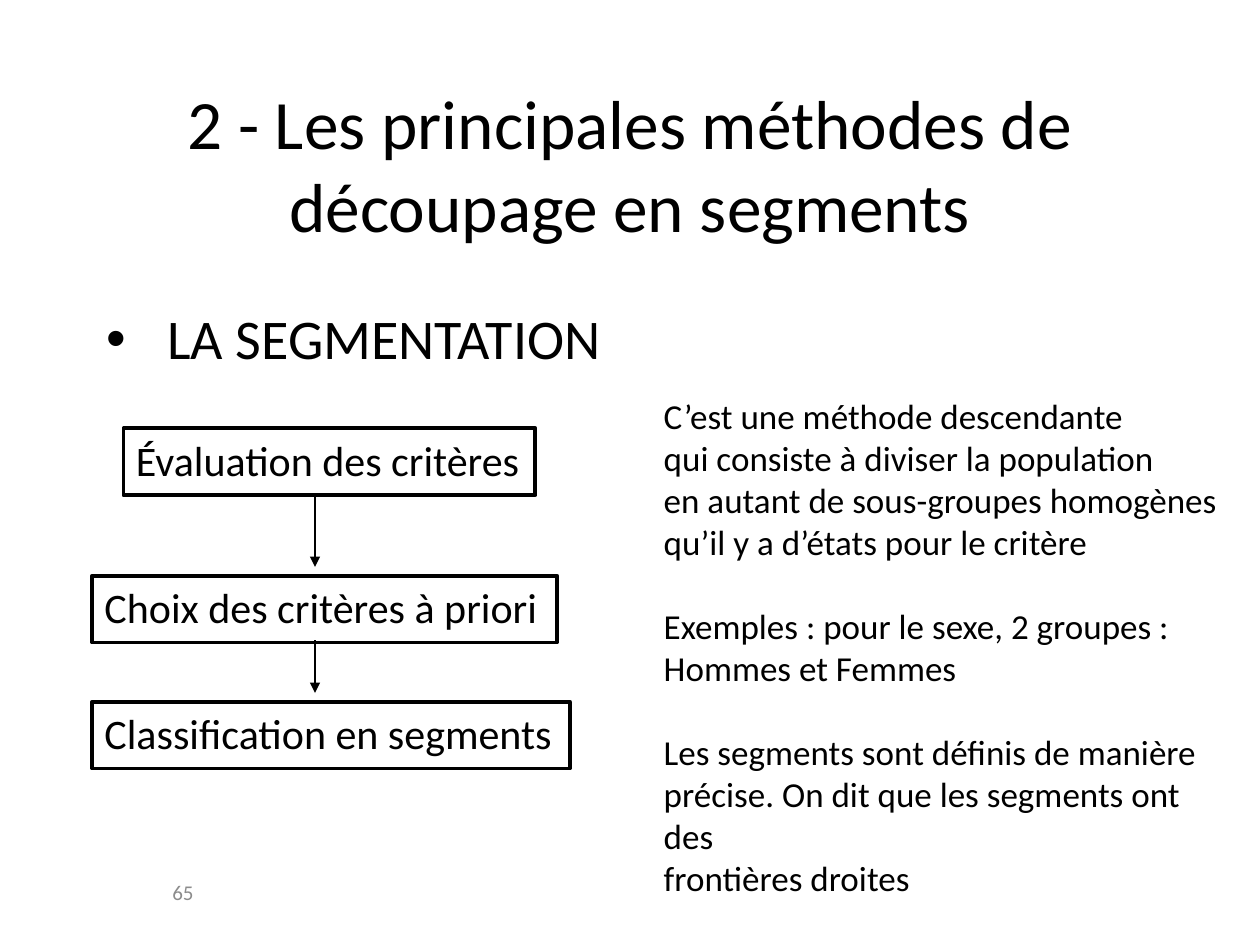
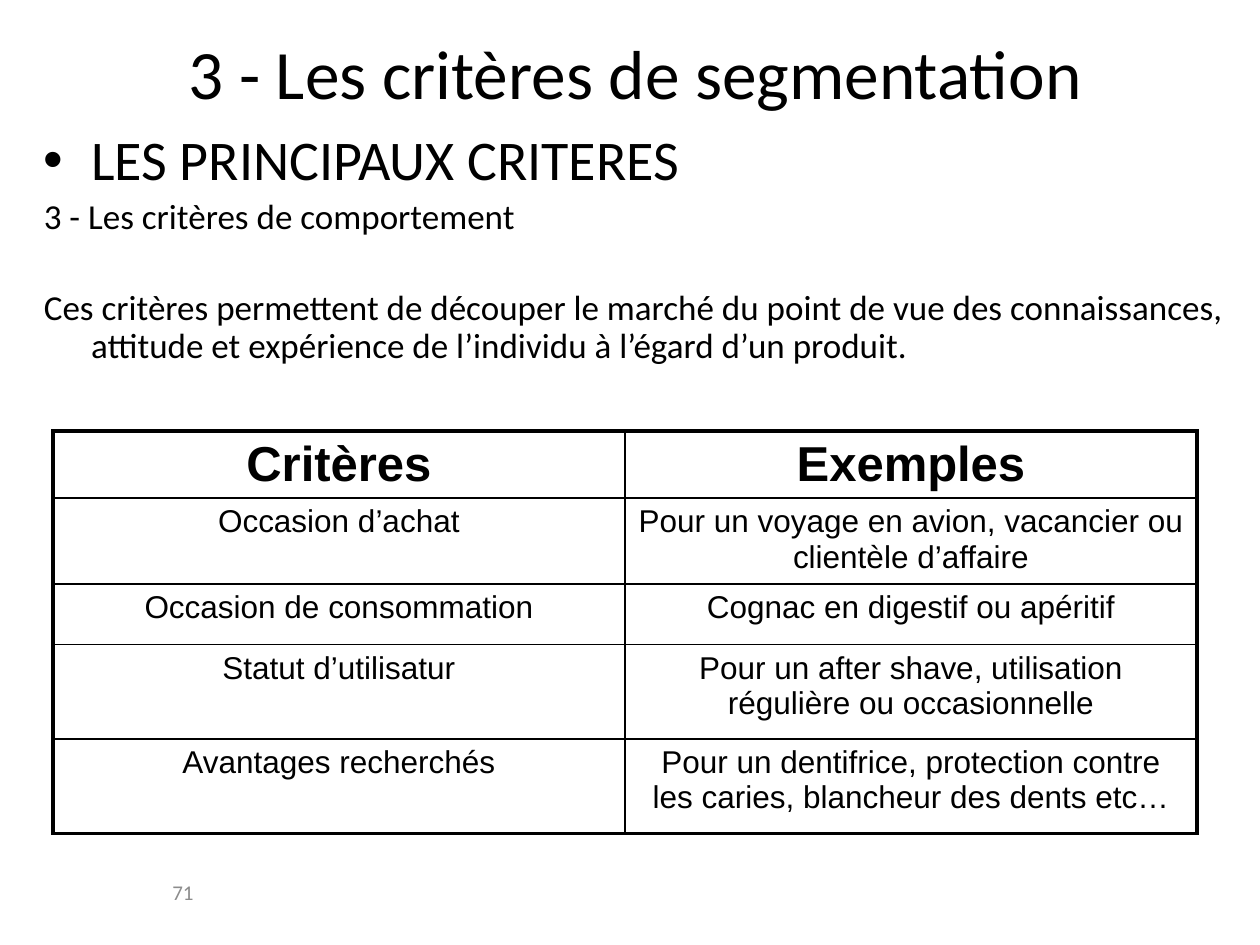
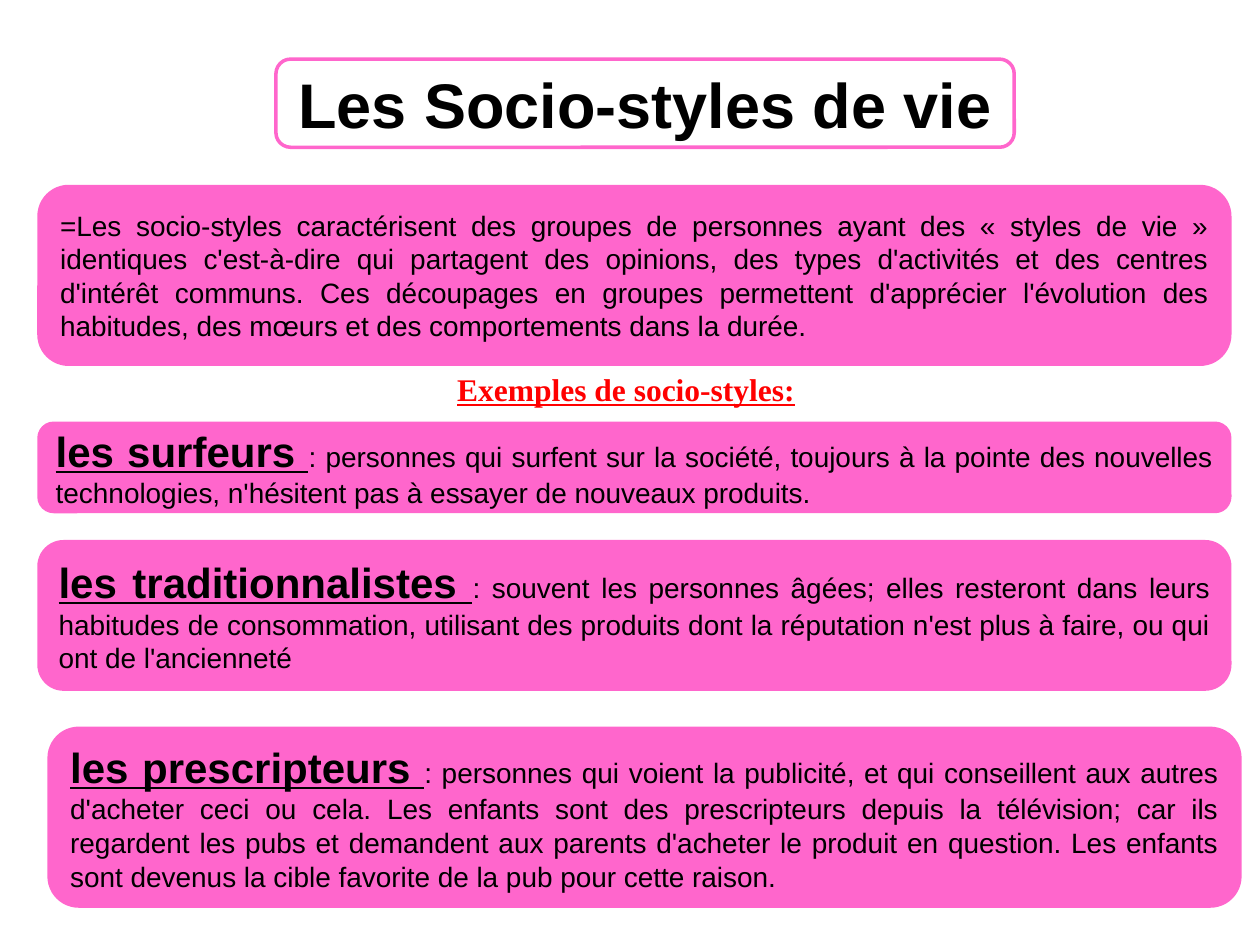
from dataclasses import dataclass

from lxml import etree
from pptx import Presentation
from pptx.dml.color import RGBColor
from pptx.enum.shapes import MSO_CONNECTOR, MSO_SHAPE
from pptx.enum.text import MSO_ANCHOR, MSO_AUTO_SIZE, PP_ALIGN
from pptx.oxml.ns import qn
from pptx.util import Pt

RECT, ROUND = MSO_SHAPE.RECTANGLE, MSO_SHAPE.ROUNDED_RECTANGLE
LINE = MSO_CONNECTOR.STRAIGHT
TOP, MID = MSO_ANCHOR.TOP, MSO_ANCHOR.MIDDLE
LEFT, MIDDLE, JUST = PP_ALIGN.LEFT, PP_ALIGN.CENTER, PP_ALIGN.JUSTIFY
FIXED = MSO_AUTO_SIZE.NONE


@dataclass(frozen=True)
class Theme:
    # Colours
    ink: str = "000000"
    paper: str = "FFFFFF"
    pink: str = "FF66CC"
    red: str = "FF0000"
    gray: str = "8C8C8C"
    # Fonts
    body: str = "Calibri"
    sans: str = "Arial"
    serif: str = "Times New Roman"
    # Type sizes
    title: float = 39.6
    banner: float = 36
    lead: float = 32
    head: float = 28
    step: float = 24
    text: float = 20
    cell: float = 18
    note: float = 16
    small: float = 12
    # Line widths
    thick: float = 2.25
    edge: float = 2
    rule: float = 1
    thin: float = 0.75


@dataclass
class Run:
    text: str
    size: float
    font: str = Theme.body
    color: str = Theme.ink
    bold: bool = False
    under: bool = False


@dataclass
class Para:
    runs: list
    align: int = LEFT
    gap: float = 0
    lines: float = 1
    hang: float = 0
    bullet: str = ""


class Deck:
    def __init__(self, theme):
        self.theme = theme
        self.prs = Presentation()
        self.prs.slide_width, self.prs.slide_height = Pt(720), Pt(540)
        self.slide = None

    def page(self, box, run):
        """Start a slide and format its title."""
        self.slide = self.prs.slides.add_slide(self.prs.slide_layouts[5])
        title = self.slide.shapes.title
        title.left, title.top, title.width, title.height = map(Pt, box)
        self.fill(title.text_frame, [Para([run], MIDDLE)], MID)

    def fill(self, frame, paras, anchor=TOP):
        frame.word_wrap = True
        frame.auto_size = FIXED
        frame.vertical_anchor = anchor
        for i, para in enumerate(paras):
            p = frame.add_paragraph() if i else frame.paragraphs[0]
            self.para(p, para)

    def para(self, p, para):
        props = p._p.get_or_add_pPr()
        if para.hang:
            props.set("marL", str(Pt(para.hang)))
            props.set("indent", str(-Pt(para.hang)))
        if para.bullet:
            etree.SubElement(props, qn("a:buFont"), typeface=self.theme.sans)
            etree.SubElement(props, qn("a:buChar"), char=para.bullet)
        p.alignment = para.align
        p.line_spacing = para.lines
        if para.gap:
            p.space_before = Pt(para.gap)
        for item in para.runs:
            run = p.add_run()
            run.text = item.text
            font = run.font
            font.name, font.size = item.font, Pt(item.size)
            font.bold, font.underline = item.bold, item.under
            font.color.rgb = RGBColor.from_string(item.color)

    def text(self, box, paras, anchor=TOP):
        shape = self.slide.shapes.add_textbox(*map(Pt, box))
        self.fill(shape.text_frame, paras, anchor)

    def box(self, kind, box, color, width, paras=(), back=None, anchor=TOP):
        shape = self.slide.shapes.add_shape(kind, *map(Pt, box))
        shape.shadow.inherit = False
        if back:
            shape.fill.solid()
            shape.fill.fore_color.rgb = RGBColor.from_string(back)
        else:
            shape.fill.background()
        shape.line.color.rgb = RGBColor.from_string(color)
        shape.line.width = Pt(width)
        self.fill(shape.text_frame, paras, anchor)

    def arrow(self, x, start, end):
        line = self.slide.shapes.add_connector(LINE, Pt(x), Pt(start), Pt(x), Pt(end))
        line.line.color.rgb = RGBColor.from_string(self.theme.ink)
        line.line.width = Pt(self.theme.thin)
        props = line.element.spPr
        etree.SubElement(props.find(qn("a:ln")), qn("a:tailEnd"), type="triangle")
        etree.SubElement(props, qn("a:effectLst"))

    def number(self, text):
        t = self.theme
        self.text((91.4, 492, 149.8, 36),
                  [Para([Run(text, t.small, color=t.gray)])], MID)

    def table(self, left, top, width, highs, rows):
        t = self.theme
        count = len(rows[0])
        grid = self.slide.shapes.add_table(
            len(rows), count, Pt(left), Pt(top), Pt(width * count), Pt(sum(highs))).table
        grid.first_row = grid.horz_banding = False
        for col in grid.columns:
            col.width = Pt(width)
        for r, (high, row) in enumerate(zip(highs, rows)):
            grid.rows[r].height = Pt(high)
            for c, text in enumerate(row):
                cell = grid.cell(r, c)
                size = t.cell if r else t.head
                run = Run(text, size, t.sans, bold=r == 0)
                self.para(cell.text_frame.paragraphs[0], Para([run], MIDDLE))
                outer = {"L": c == 0, "R": c == count - 1,
                         "T": r == 0, "B": r == len(rows) - 1}
                self.edges(cell, outer)
                cell.fill.solid()
                cell.fill.fore_color.rgb = RGBColor.from_string(t.paper)

    def edges(self, cell, outer):
        """Draw thick outer borders and fine inner ones."""
        t = self.theme
        props = cell._tc.get_or_add_tcPr()
        for side, out in outer.items():
            width = Pt(t.thick if out else t.rule)
            line = etree.SubElement(props, qn("a:ln" + side), w=str(width))
            fill = etree.SubElement(line, qn("a:solidFill"))
            etree.SubElement(fill, qn("a:srgbClr"), val=t.ink)


def method(deck):
    t = deck.theme
    deck.page((54, 39, 612, 108.7),
              Run("2 - Les principales méthodes de découpage en segments", t.title))
    deck.number("65")
    deck.text((54, 174.2, 378, 41.8),
              [Para([Run("LA SEGMENTATION", t.lead)], lines=0.9, hang=34.4, bullet="•")])

    # Steps and arrows
    steps = [(70.6, 244.8, 235.4, "Évaluation des critères"),
             (52.6, 329, 265.7, "Choix des critères à priori"),
             (52.6, 401, 272.9, "Classification en segments")]
    for left, top, width, text in steps:
        deck.box(RECT, (left, top, width, 38.2), t.ink, t.thick,
                 [Para([Run(text, t.step)])])
    for start, end in ((282.4, 324), (366, 396)):
        deck.arrow(180, start, end)

    # Explanation in three groups
    groups = [["C’est une méthode descendante",
               "qui consiste à diviser la population",
               "en autant de sous-groupes homogènes",
               "qu’il y a d’états pour le critère"],
              ["Exemples : pour le sexe, 2 groupes :",
               "Hommes et Femmes"],
              ["Les segments sont définis de manière",
               "précise. On dit que les segments ont des",
               "frontières droites"]]
    deck.text((372.2, 221.8, 334, 271.4),
              [Para([Run(text, t.text)], gap=24 if g and not i else 0)
               for g, group in enumerate(groups) for i, text in enumerate(group)])


def criteria(deck):
    t = deck.theme
    deck.page((18, 12, 690, 58.3), Run("3 - Les critères de segmentation", t.title))
    deck.number("71")
    lines = [("LES PRINCIPAUX CRITERES", t.lead, 0, "•"),
             ("3 - Les critères de comportement", t.text, 4, ""),
             ("Ces critères permettent de découper le marché du point de vue des "
              "connaissances, attitude et expérience de l’individu à l’égard d’un produit.",
              t.text, 30, "")]
    deck.text((18, 72, 690, 144),
              [Para([Run(text, size)], gap=gap, lines=0.9, hang=27, bullet=mark)
               for text, size, gap, mark in lines])
    deck.table(30.2, 246.2, 326.9, (38.2, 49, 34.6, 54, 54), [
        ("Critères", "Exemples"),
        ("Occasion d’achat", "Pour un voyage en avion, vacancier ou clientèle d’affaire"),
        ("Occasion de consommation", "Cognac en digestif ou apéritif"),
        ("Statut d’utilisatur", "Pour un after shave, utilisation régulière ou occasionnelle"),
        ("Avantages recherchés",
         "Pour un dentifrice, protection contre les caries, blancheur des dents etc…")])


def styles(deck):
    t = deck.theme
    frame = (157.7, 33.8, 421.9, 50.4)
    deck.page(frame, Run("Les Socio-styles de vie", t.banner, t.sans, bold=True))
    deck.box(ROUND, frame, t.pink, t.edge)

    # Definition and types of people
    cards = [
        (22.3, 106.6, 101.5, "",
         "=Les socio-styles caractérisent des groupes de personnes ayant des "
         "« styles de vie » identiques c'est-à-dire qui partagent des opinions, des "
         "types d'activités et des centres d'intérêt communs. Ces découpages en "
         "groupes permettent d'apprécier l'évolution des habitudes, des mœurs et des "
         "comportements dans la durée."),
        (22.3, 241.9, 50.4, "les surfeurs ",
         ": personnes qui surfent sur la société, toujours à la pointe des nouvelles "
         "technologies, n'hésitent pas à essayer de nouveaux produits."),
        (22.3, 309.6, 84.2, "les traditionnalistes ",
         ": souvent les personnes âgées; elles resteront dans leurs habitudes de "
         "consommation, utilisant des produits dont la réputation n'est plus à faire, "
         "ou qui ont de l'ancienneté"),
        (28.1, 416.2, 101.5, "les prescripteurs ",
         ": personnes qui voient la publicité, et qui conseillent aux autres d'acheter "
         "ceci ou cela. Les enfants sont des prescripteurs depuis la télévision; car "
         "ils regardent les pubs et demandent aux parents d'acheter le produit en "
         "question. Les enfants sont devenus la cible favorite de la pub pour cette "
         "raison.")]
    for left, top, high, name, text in cards:
        runs = [Run(name, t.step, t.sans, bold=True, under=True)] if name else []
        runs.append(Run(text, t.note, t.sans))
        deck.box(ROUND, (left, top, 680.4, high), t.pink, t.edge,
                 [Para(runs, JUST)], t.pink, MID)

    deck.text((254.2, 208.1, 213.8, 28.8),
              [Para([Run("Exemples de socio-styles:", t.cell, t.serif, t.red, True, True)])])


def main():
    deck = Deck(Theme())
    for build in (method, criteria, styles):
        build(deck)
    deck.prs.save("out.pptx")


if __name__ == "__main__":
    main()
